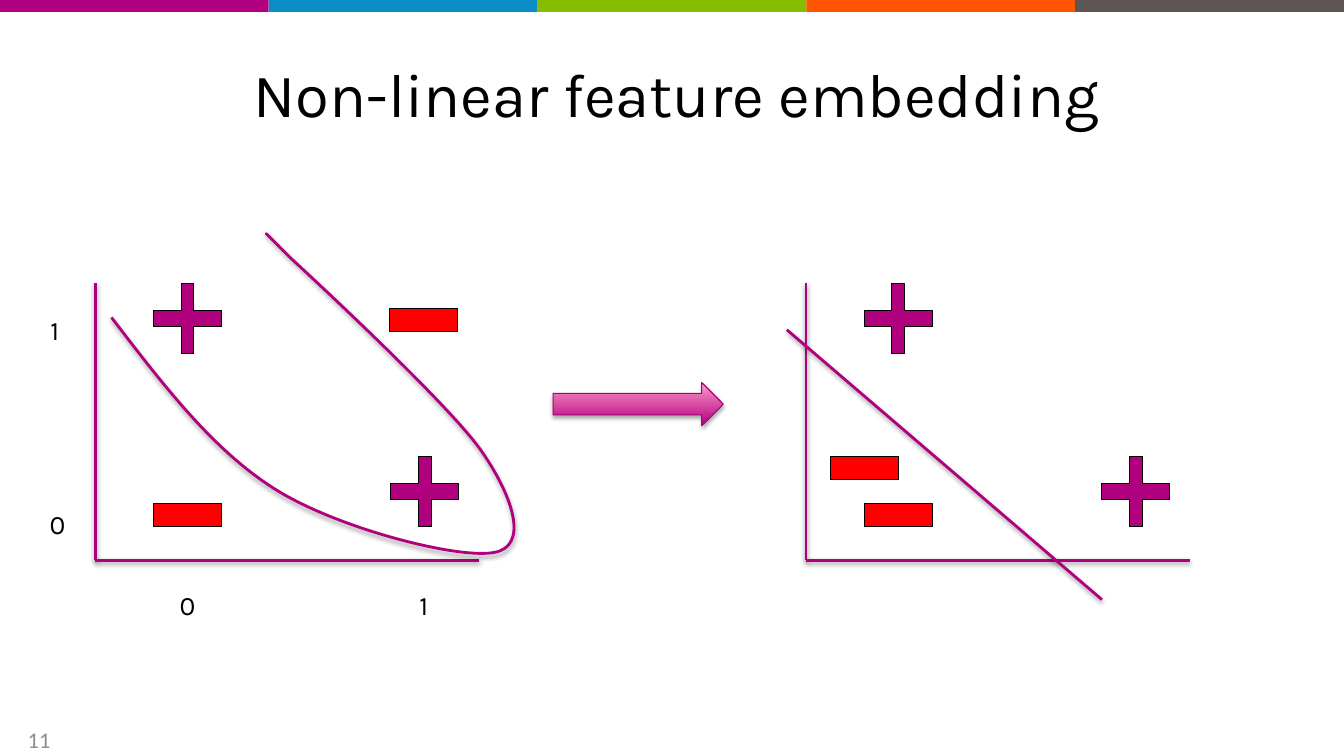
from lxml import etree
from pptx import Presentation
from pptx import util as u
from pptx.dml.color import RGBColor
from pptx.enum import shapes, text
from pptx.oxml.ns import qn

W, H = 33.87, 19.05
PURPLE, RED, BLACK = "B0007E", "FF0000", "000000"
BAND = ["B0007F", "0A8CC4", "85BD00", "FF5500", "5E5555"]
AXIS_W, AXIS_H = 9.68, 6.98
SIGN_W, PLUS_H, MINUS_H = 1.71, 1.78, 0.59
BOUNDARY_BOX = (0.41, -1.24, 10.13, 8.08)
BOUNDARY = [
    (0.41, 0.86),
    (1.7, 2.54), (2.97, 4.22), (4.57, 5.21),
    (6.17, 6.2), (9.19, 6.96), (10.06, 6.78),
    (10.9, 6.63), (10.59, 5.46), (9.73, 4.22),
    (8.86, 2.97), (4.9, -0.66), (4.9, -0.66),
    (3.99, -1.57), (4.42, -1.14), (4.34, -1.22),
]


def rgb(hex_color):
    """Turn a hex string into a colour."""
    return RGBColor.from_string(hex_color)


def cm(*values):
    """Turn numbers into lengths in centimetres."""
    return [u.Cm(v) for v in values]


def add_text(s, box, words, size, font="Karla", color=BLACK, align=None, wrap=True, anchor="TOP"):
    """Place one line of formatted text in a box."""
    tf = s.shapes.add_textbox(*cm(*box)).text_frame
    tf.word_wrap = wrap
    tf.vertical_anchor = text.MSO_ANCHOR[anchor]
    p = tf.paragraphs[0]
    p.alignment = align
    r = p.add_run()
    r.text = words
    r.font.size, r.font.name = u.Pt(size), font
    r.font.color.rgb = rgb(color)


def add_shadow(sp, alpha=38, dist=20000):
    """Give a shape a soft shadow that falls straight down."""
    effects = etree.SubElement(sp._element.spPr, qn("a:effectLst"))
    shadow = etree.SubElement(effects, qn("a:outerShdw"), blurRad="40000",
                              dist=str(dist), dir="5400000", rotWithShape="0")
    color = etree.SubElement(shadow, qn("a:srgbClr"), val=BLACK)
    etree.SubElement(color, qn("a:alpha"), val=str(alpha * 1000))


def stroke(sp, color=PURPLE, width=2):
    """Set the line of a shape or connector."""
    sp.line.color.rgb = rgb(color)
    sp.line.width = u.Pt(width)


def add_line(s, x1, y1, x2, y2):
    """Draw a straight shadowed line."""
    sp = s.shapes.add_connector(shapes.MSO_CONNECTOR.STRAIGHT, *cm(x1, y1, x2, y2))
    stroke(sp)
    add_shadow(sp)


def add_block(s, kind, box, color):
    """Draw a filled preset shape without line or shadow."""
    sp = s.shapes.add_shape(kind, *cm(*box))
    sp.shadow.inherit = False
    sp.fill.solid()
    sp.fill.fore_color.rgb = rgb(color)
    sp.line.fill.background()
    return sp


def add_curve(s, x, y, box, points):
    """Draw an open chain of cubic curves with its bounds set to the box."""
    left, top, w, h = box
    fb = s.shapes.build_freeform(*cm(x + points[0][0], y + points[0][1]))
    fb.add_line_segments([cm(x + dx, y + dy) for dx, dy in points[3::3]], close=False)
    sp = fb.convert_to_shape()
    sp.left, sp.top, sp.width, sp.height = cm(x + left, y + top, w, h)
    outline = next(sp._element.iter(qn("a:path")))
    outline.set("w", str(sp.width))
    outline.set("h", str(sp.height))
    for child in list(outline):
        outline.remove(child)
    groups = [points[:1]] + [points[i:i + 3] for i in range(1, len(points), 3)]
    for group in groups:
        tag = "a:moveTo" if len(group) == 1 else "a:cubicBezTo"
        segment = etree.SubElement(outline, qn(tag))
        for dx, dy in group:
            px, py = cm(dx - left, dy - top)
            etree.SubElement(segment, qn("a:pt"), x=str(int(px)), y=str(int(py)))
    sp.fill.background()
    stroke(sp)
    add_shadow(sp)


def color_band(s, x, y, w, h):
    """Draw the row of coloured strips."""
    step = w / len(BAND)
    for i, color in enumerate(BAND):
        add_block(s, shapes.MSO_SHAPE.RECTANGLE, (x + i * step, y, step, h), color)


def plot(s, x, y, pluses, minuses):
    """Draw two axes and the positive and negative samples."""
    base = y + AXIS_H
    add_line(s, x, y, x, base)
    add_line(s, x + AXIS_W, base, x, base)
    for dx, dy in pluses:
        sp = add_block(s, shapes.MSO_SHAPE.CROSS, (x + dx, y + dy, SIGN_W, PLUS_H), PURPLE)
        sp.adjustments[0] = 0.406
        stroke(sp, BLACK, 0.75)
    for dx, dy in minuses:
        sp = add_block(s, shapes.MSO_SHAPE.RECTANGLE, (x + dx, y + dy, SIGN_W, MINUS_H), RED)
        stroke(sp, BLACK, 0.75)


def input_space(s, x, y):
    """Draw the input samples, tick labels and curved boundary."""
    plot(s, x, y, [(1.47, 0), (7.45, 4.36)], [(1.47, 5.54), (7.41, 0.63)])
    for words, dx, dy in [("1", -1.38, 0.64), ("0", -1.4, 5.54), ("0", 1.88, 7.57), ("1", 7.92, 7.57)]:
        add_text(s, (x + dx, y + dy, 0.89, 1.07), words, 19, wrap=False)
    add_curve(s, x, y, BOUNDARY_BOX, BOUNDARY)


def feature_space(s, x, y):
    """Draw the embedded samples and straight boundary."""
    plot(s, x, y, [(1.47, 0), (7.46, 4.36)], [(1.47, 5.54), (0.63, 4.36)])
    add_line(s, x - 0.48, y + 1.17, x + 7.46, y + 7.97)


def mapping_arrow(s, x, y, w, h):
    """Draw the gradient arrow between the two plots."""
    sp = s.shapes.add_shape(shapes.MSO_SHAPE.RIGHT_ARROW, *cm(x, y, w, h))
    sp.fill.gradient()
    sp.fill.gradient_angle = 90
    for stop, color in zip(sp.fill.gradient_stops, [PURPLE, "FF9ACB"]):
        stop.color.rgb = rgb(color)
    stroke(sp, "AC007B", 0.75)
    add_shadow(sp, 35, 23000)


def main():
    """Build and save the slide."""
    prs = Presentation()
    prs.slide_width, prs.slide_height = cm(W, H)
    s = prs.slides.add_slide(prs.slide_layouts[6])
    color_band(s, 0, 0, W, 0.3)
    add_text(s, (-0.84, 18.12, 2.36, 1.02), "11", 16, font="Calibri", color="8C8C8C",
             align=text.PP_ALIGN.RIGHT, anchor="MIDDLE")
    add_text(s, (1, 0.76, 32.13, 3.18), "Non-linear feature embedding", 44,
             align=text.PP_ALIGN.CENTER, anchor="MIDDLE")
    input_space(s, 2.4, 7.14)
    mapping_arrow(s, 13.94, 9.64, 4.29, 1.09)
    feature_space(s, 20.31, 7.14)
    prs.save("out.pptx")


if __name__ == "__main__":
    main()
